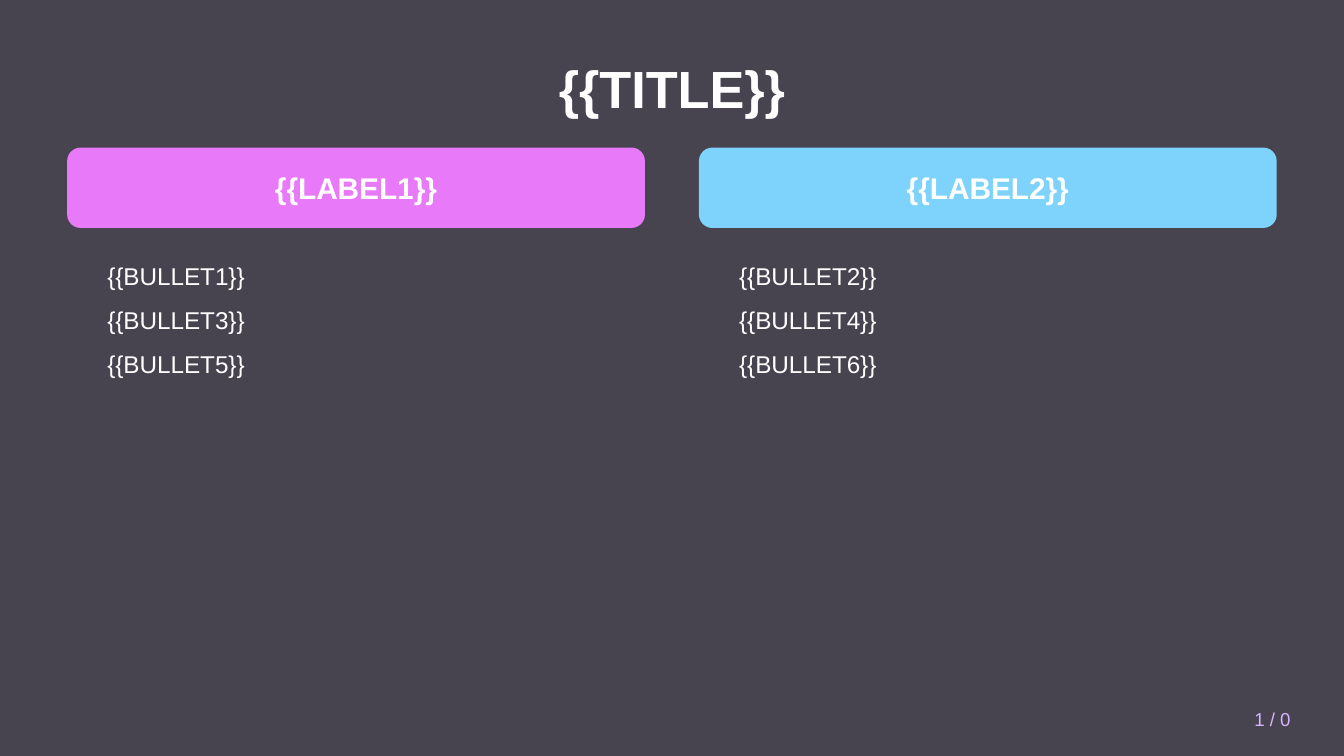
from dataclasses import dataclass

from lxml import etree
from pptx import Presentation
from pptx.dml.color import RGBColor
from pptx.enum.shapes import MSO_SHAPE
from pptx.enum.text import MSO_ANCHOR, PP_ALIGN
from pptx.oxml.ns import qn
from pptx.util import Cm, Pt

RECT, ROUND = MSO_SHAPE.RECTANGLE, MSO_SHAPE.ROUNDED_RECTANGLE
TOP, MIDDLE = MSO_ANCHOR.TOP, MSO_ANCHOR.MIDDLE
LEFT, CENTER, RIGHT = PP_ALIGN.LEFT, PP_ALIGN.CENTER, PP_ALIGN.RIGHT


@dataclass(frozen=True)
class Theme:
    font: str = "Arial"
    veil: str = "1A1625"
    white: str = "FFFFFF"
    pink: str = "E879F9"
    blue: str = "7DD3FC"
    lilac: str = "D8B4FE"
    title: int = 28
    label: int = 16
    body: int = 13
    page: int = 10
    gap: int = 8


THEME = Theme()
WIDTH, HEIGHT = 25.4, 14.29
MARGIN = 1.27
COL_W = 10.92


def add_panel(slide, kind, box, color):
    panel = slide.shapes.add_shape(kind, *map(Cm, box))
    panel.shadow.inherit = False
    panel.fill.solid()
    panel.fill.fore_color.rgb = RGBColor.from_string(color)
    panel.line.fill.background()
    return panel


def add_text(slide, box, lines, size, color=THEME.white, bold=False,
             align=LEFT, anchor=MIDDLE, after=0):
    frame = slide.shapes.add_textbox(*map(Cm, box)).text_frame
    frame.word_wrap = True
    frame.vertical_anchor = anchor
    for i, line in enumerate(lines):
        para = frame.add_paragraph() if i else frame.paragraphs[0]
        para.alignment = align
        para.space_after = Pt(after)
        run = para.add_run()
        run.text = line
        font = run.font
        font.name, font.size, font.bold = THEME.font, Pt(size), bold
        font.color.rgb = RGBColor.from_string(color)


def add_veil(slide, box):
    veil = add_panel(slide, RECT, box, THEME.veil)
    tint = veil.fill._xPr.find(qn("a:solidFill"))[0]
    etree.SubElement(tint, qn("a:alpha"), val="80000")


def add_title(slide, box, text):
    add_text(slide, box, [text], THEME.title, bold=True, align=CENTER)


def add_column(slide, box, label, color, bullets):
    left, top, width, height = box
    head_h, pad = 1.52, 0.51

    # Header band
    head = (left, top, width, head_h)
    add_panel(slide, ROUND, head, color)
    add_text(slide, head, [label], THEME.label, bold=True, align=CENTER)

    # Bullet list
    drop = head_h + pad
    body = (left + pad, top + drop, width - 2 * pad, height - drop)
    add_text(slide, body, bullets, THEME.body, anchor=TOP, after=THEME.gap)


def add_page(slide, box, text):
    add_text(slide, box, [text], THEME.page, THEME.lilac, align=RIGHT)


def main():
    deck = Presentation()
    deck.slide_width, deck.slide_height = Cm(WIDTH), Cm(HEIGHT)
    slide = deck.slides.add_slide(deck.slide_layouts[6])

    # Backdrop and title
    add_veil(slide, (0, 0, WIDTH, HEIGHT))
    add_title(slide, (MARGIN, 0.76, WIDTH - 2 * MARGIN, 1.78), "{{TITLE}}")

    # Two columns, flush with the margins
    columns = [
        (MARGIN, "{{LABEL1}}", THEME.pink,
         ["{{BULLET1}}", "{{BULLET3}}", "{{BULLET5}}"]),
        (WIDTH - MARGIN - COL_W, "{{LABEL2}}", THEME.blue,
         ["{{BULLET2}}", "{{BULLET4}}", "{{BULLET6}}"]),
    ]
    for left, label, color, bullets in columns:
        add_column(slide, (left, 2.79, COL_W, 9.14), label, color, bullets)

    # Page number
    add_page(slide, (21.59, 13.21, 3.05, 0.76), "1 / 0")

    deck.save("out.pptx")


if __name__ == "__main__":
    main()
